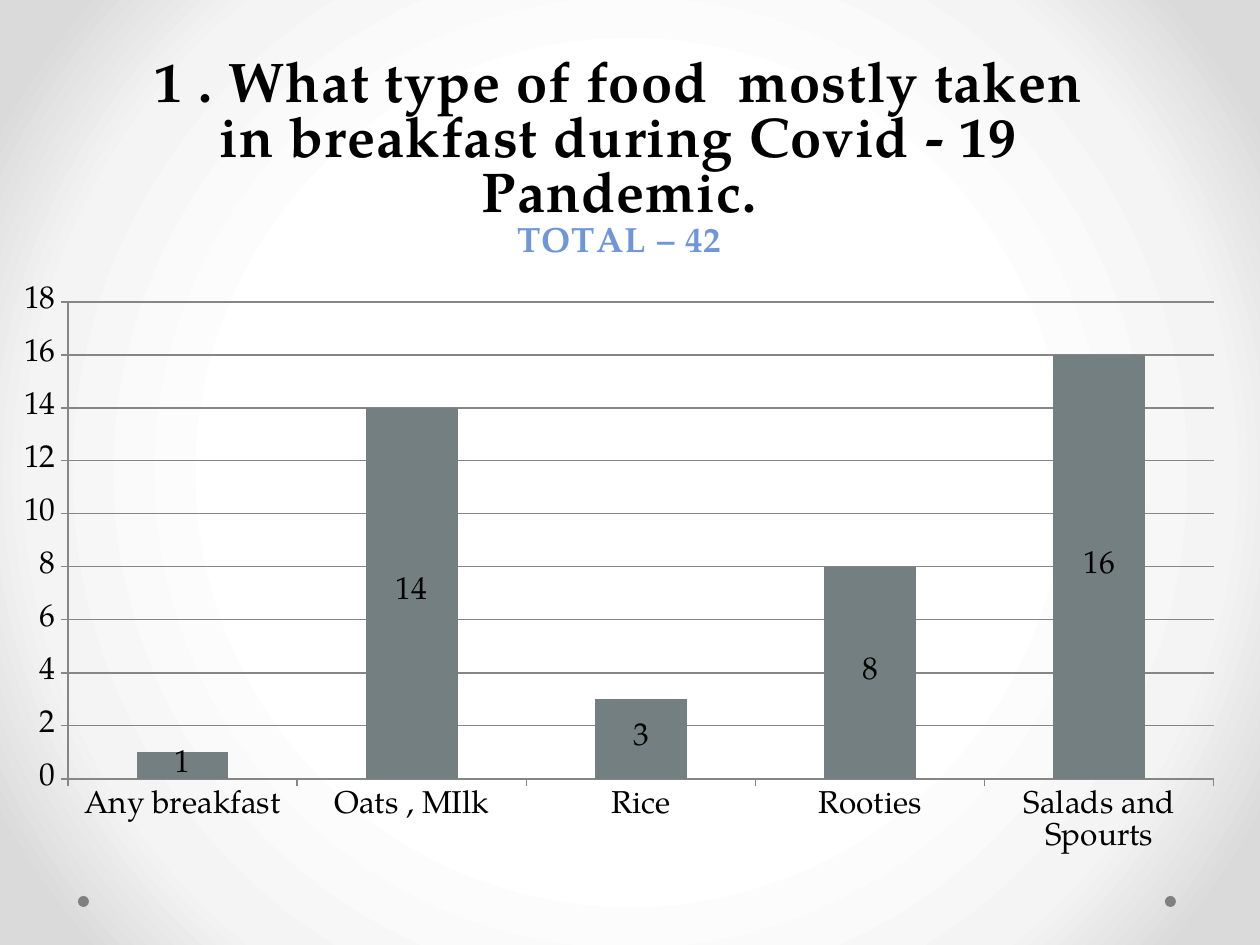
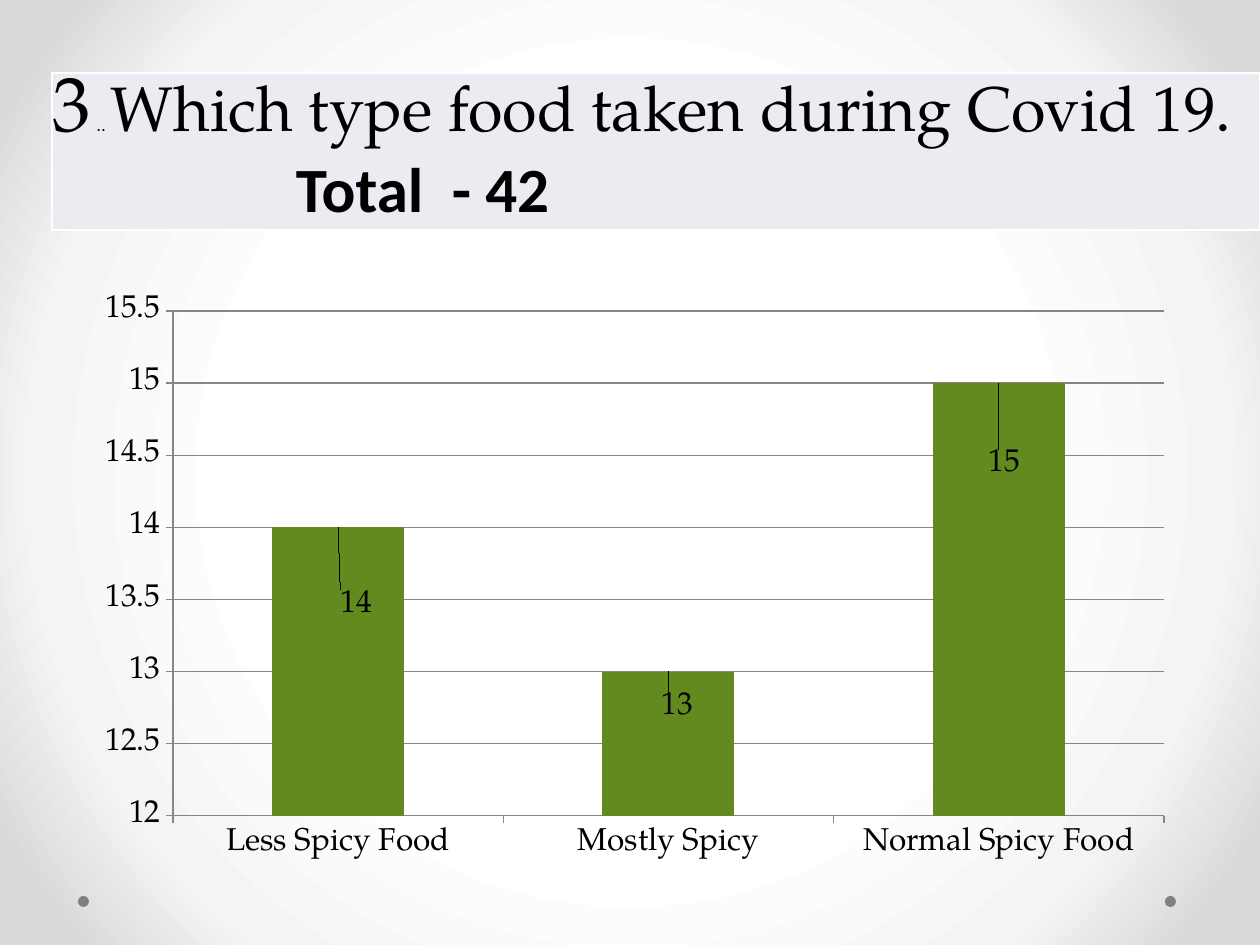
import pptx
import pptx.chart.data
import pptx.dml.color
import pptx.enum.chart
import pptx.enum.shapes
import pptx.enum.text
import pptx.oxml
import pptx.oxml.ns
import pptx.util

PX = 914400 // 126
NS = pptx.oxml.ns.nsdecls("a", "c")
THEME = {
    "serif": "TeX Gyre Pagella", "sans": "Calibri",
    "ink": "000000", "total": "6F96D8", "grid": "868686", "dot": "808080",
    "band": "EAECF2", "edge": "FFFFFF", "slate": "747F81", "green": "628A1F",
    "glow": [(50, "FFFFFF"), (76, "F4F4F4"), (92, "DADADA")],
    "chart": 18, "title": 32, "sub": 20, "num": 44, "dots": 11, "head": 36,
}
Kind = pptx.enum.chart.XL_CHART_TYPE
Tick = pptx.enum.chart.XL_TICK_MARK
Spot = pptx.enum.chart.XL_LABEL_POSITION


def rgb(name):
    """Return a theme colour by its name."""
    return pptx.dml.color.RGBColor.from_string(THEME[name])


def add_run(para, text, size, face="serif", color="ink", bold=False):
    """Add one formatted run to a paragraph."""
    run = para.add_run()
    run.text = text
    run.font.size = pptx.util.Pt(THEME[size])
    run.font.name = THEME[face]
    run.font.bold = bold
    run.font.color.rgb = rgb(color)
    return run


deck = pptx.Presentation()
deck.slide_width, deck.slide_height = 1260 * PX, 945 * PX
master = deck.slide_master
slides = [deck.slides.add_slide(deck.slide_layouts[6]) for _ in range(2)]

# Shared background: a round glow, on the master
master.background.fill.gradient()
plain = master.element.xpath("./p:cSld/p:bg//a:gradFill")[0]
stops = "".join(
    f'<a:gs pos="{pos * 1000}"><a:srgbClr val="{color}"/></a:gs>'
    for pos, color in THEME["glow"])
glow = pptx.oxml.parse_xml(
    f'<a:gradFill {NS} rotWithShape="1"><a:gsLst>{stops}</a:gsLst>'
    '<a:path path="circle"><a:fillToRect l="50000" t="50000" r="50000" '
    'b="50000"/></a:path></a:gradFill>')
plain.getparent().replace(plain, glow)

# Shared footer dots, moved to the master
for left in (1165, 78):
    dot = slides[0].shapes.add_shape(
        pptx.enum.shapes.MSO_SHAPE.OVAL, left * PX, 896 * PX, 11 * PX, 11 * PX)
    dot.shadow.inherit = False
    dot.fill.solid()
    dot.fill.fore_color.rgb = rgb("dot")
    dot.line.fill.background()
    master.element.cSld.spTree.append(dot.element)

# Heading table of the second slide
table = slides[1].shapes.add_table(
    1, 1, 52 * PX, 73 * PX, 1208 * PX, 157 * PX).table
table.first_row = table.horz_banding = False
cell = table.cell(0, 0)
cell.fill.solid()
cell.fill.fore_color.rgb = rgb("band")
cell.vertical_anchor = pptx.enum.text.MSO_ANCHOR.BOTTOM
cell.margin_left = cell.margin_right = cell.margin_top = PX
cell.margin_bottom = 0
for place, side in enumerate(("lnL", "lnR", "lnT", "lnB")):
    cell.fill._xPr.insert(place, pptx.oxml.parse_xml(
        f'<a:{side} {NS} w="12700"><a:solidFill><a:srgbClr '
        f'val="{THEME["edge"]}"/></a:solidFill></a:{side}>'))
para = cell.text_frame.paragraphs[0]
add_run(para, "3", "num")
add_run(para, " .. ", "dots")
add_run(para, "Which type food taken during Covid 19.", "head")
para = cell.text_frame.add_paragraph()
para._p.get_or_add_pPr().set("marL", str(243 * PX))
add_run(para, "Total  - 42", "head", "sans", bold=True)

# Charts: box and plot are left, top, width, height; shifts move the labels
charts = [
    {"kind": Kind.COLUMN_STACKED, "box": (0, 32, 1239, 840),
     "plot": (68, 302, 1146, 477), "color": "slate", "scale": (0, 18, 2),
     "data": {"Any breakfast": 1, "Oats , MIlk": 14, "Rice": 3,
              "Rooties": 8, "Salads and Spourts": 16},
     "title": "1 . What type of food  mostly taken in breakfast "
              "during Covid - 19 Pandemic.",
     "total": "TOTAL – 42", "spot": Spot.CENTER, "shifts": []},
    {"kind": Kind.COLUMN_CLUSTERED, "box": (84, 284, 1103, 588),
     "plot": (173, 311, 991, 505), "color": "green", "scale": (12, 15.5, 0.5),
     "data": {"Less Spicy Food": 14, "Mostly Spicy": 13,
              "Normal Spicy Food": 15},
     "title": None, "spot": Spot.OUTSIDE_END,
     "shifts": [(18, 99), (9, 57), (6, 103)]},
]
for slide, item in zip(slides, charts):
    data = pptx.chart.data.CategoryChartData()
    data.categories = list(item["data"])
    data.add_series("Series 1", list(item["data"].values()))
    left, top, wide, high = item["box"]
    chart = slide.shapes.add_chart(
        item["kind"], left * PX, top * PX, wide * PX, high * PX, data).chart
    chart.has_legend = False
    chart.font.name = THEME["serif"]
    chart.font.size = pptx.util.Pt(THEME["chart"])
    chart.font.color.rgb = rgb("ink")

    chart.has_title = bool(item["title"])
    if item["title"]:
        frame = chart.chart_title.text_frame
        head = add_run(frame.paragraphs[0], item["title"], "title", bold=True)
        total = add_run(frame.add_paragraph(), item["total"], "sub",
                        color="total", bold=True)
        for run in (head, total):
            run.font._element.set("spc", "50")

    # Fix the inner plot area as shares of the chart box
    x, y, w, h = item["plot"]
    area = chart._chartSpace.chart.plotArea
    for old in area.xpath("./c:layout"):
        area.remove(old)
    area.insert(0, pptx.oxml.parse_xml(
        f'<c:layout {NS}><c:manualLayout><c:layoutTarget val="inner"/>'
        '<c:xMode val="edge"/><c:yMode val="edge"/>'
        f'<c:x val="{(x - left) / wide:.4f}"/>'
        f'<c:y val="{(y - top) / high:.4f}"/>'
        f'<c:w val="{w / wide:.4f}"/><c:h val="{h / high:.4f}"/>'
        '</c:manualLayout></c:layout>'))

    axis = chart.value_axis
    axis.minimum_scale, axis.maximum_scale, axis.major_unit = item["scale"]
    axis.has_major_gridlines = True
    lines = [axis.major_gridlines.format.line]
    for axis in (chart.value_axis, chart.category_axis):
        axis.major_tick_mark = Tick.OUTSIDE
        axis.minor_tick_mark = Tick.NONE
        lines.append(axis.format.line)
    for line in lines:
        line.color.rgb = rgb("grid")
        line.width = pptx.util.Pt(0.75)

    plot = chart.plots[0]
    plot.gap_width = 150
    plot.vary_by_categories = False
    bars = plot.series[0]
    bars.format.fill.solid()
    bars.format.fill.fore_color.rgb = rgb(item["color"])
    bars.data_labels.show_value = True
    bars.data_labels.position = item["spot"]
    for place, (dx, dy) in enumerate(item["shifts"]):
        bars.points[place].data_label.position = item["spot"]
        label = bars.data_labels._element.xpath("./c:dLbl")[place]
        label.insert(1, pptx.oxml.parse_xml(
            f'<c:layout {NS}><c:manualLayout><c:x val="{dx / wide:.4f}"/>'
            f'<c:y val="{dy / high:.4f}"/></c:manualLayout></c:layout>'))

deck.save("out.pptx")
